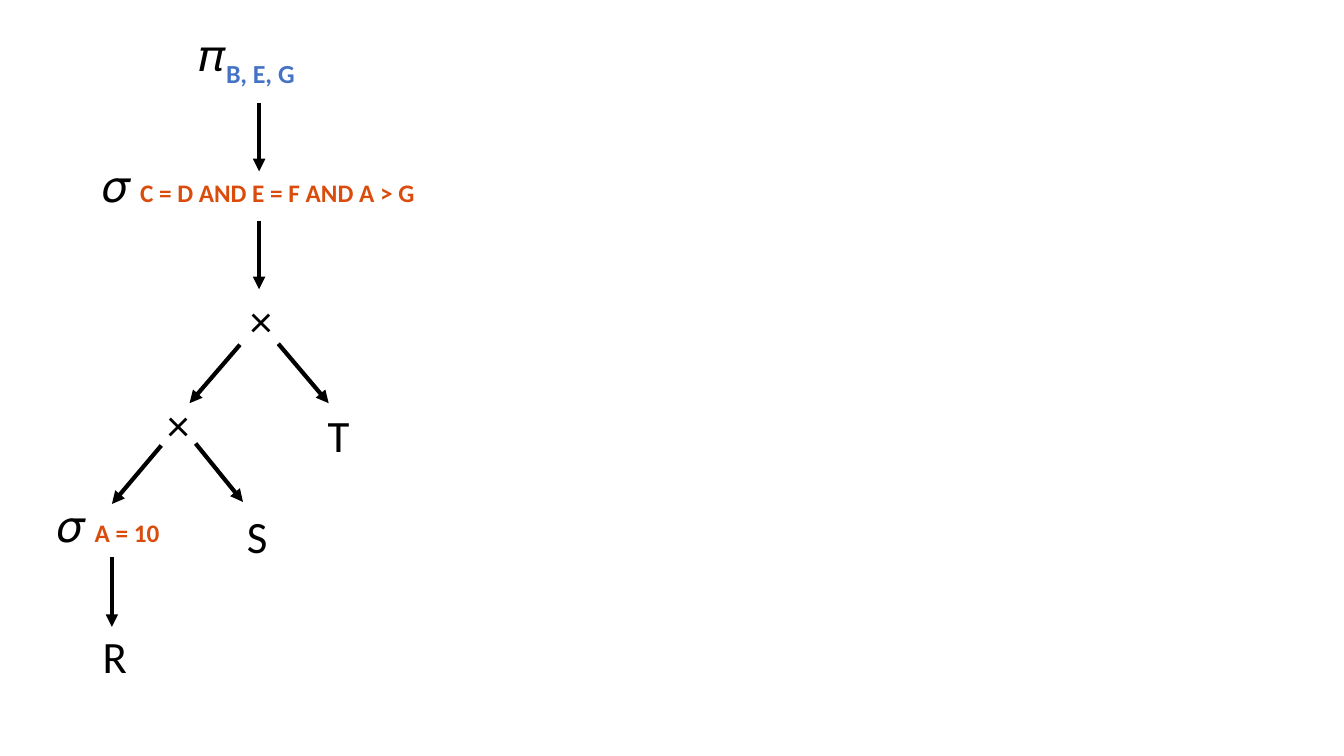
from dataclasses import dataclass
from pptx import Presentation
from pptx.dml.color import RGBColor
from pptx.enum import shapes, text
from pptx.oxml import ns
from pptx.util import Inches, Pt
from lxml import etree


@dataclass(frozen=True)
class Theme:
    font: str = "Calibri"
    ink: str = "000000"
    projection: str = "4472C4"
    condition: str = "DA4C0C"
    symbol_size: int = 32
    condition_size: int = 18
    line_width: int = 3


THEME = Theme()
ROW_HEIGHT = 0.64
LEAF_WIDTH = 0.38


def style_run(r, size, color, bold):
    r.font.name = THEME.font
    r.font.size = Pt(size)
    r.font.bold = bold
    r.font.color.rgb = RGBColor.from_string(color)


def add_label(s, x, y, w, parts, wrap=True):
    tf = s.shapes.add_textbox(Inches(x), Inches(y), Inches(w), Inches(ROW_HEIGHT)).text_frame
    tf.word_wrap = wrap
    tf.auto_size = text.MSO_AUTO_SIZE.SHAPE_TO_FIT_TEXT
    for content, size, color, bold in parts:
        r = tf.paragraphs[0].add_run()
        r.text = content
        style_run(r, size, color, bold)
    return tf


def add_leaf(s, x, y, name):
    add_label(s, x, y, LEAF_WIDTH, [(name, THEME.symbol_size, THEME.ink, False)])


def add_selection(s, x, y, w, condition, wrap=True):
    add_label(s, x, y, w, [
        ("𝜎 ", THEME.symbol_size, THEME.ink, True),
        (condition, THEME.condition_size, THEME.condition, True),
    ], wrap)


def add_projection(s, x, y, w, columns):
    tf = add_label(s, x, y, w, [
        ("𝜋", THEME.symbol_size, THEME.ink, True),
        (columns, THEME.symbol_size, THEME.projection, True),
    ])
    tf.paragraphs[0].runs[1].font._element.set("baseline", "-25000")


def add_arrow(s, x1, y1, x2, y2):
    c = s.shapes.add_connector(shapes.MSO_CONNECTOR.STRAIGHT,
                               Inches(x1), Inches(y1), Inches(x2), Inches(y2))
    c.line.color.rgb = RGBColor.from_string(THEME.ink)
    c.line.width = Pt(THEME.line_width)
    etree.SubElement(c.line._get_or_add_ln(), ns.qn("a:tailEnd"), type="triangle")
    etree.SubElement(c._element.spPr, ns.qn("a:effectLst"))


def build_query_tree(s, x, y):
    add_projection(s, x + 1.41, y, 1.32, "B, E, G")
    add_selection(s, x + 0.45, y + 1.3, 4.56, "C = D AND E = F AND A > G")
    add_selection(s, x, y + 4.67, 1.27, "A = 10", wrap=False)
    for name, dx, dy in [("×", 1.91, 2.63), ("×", 1.09, 3.67), ("T", 2.68, 3.78),
                         ("S", 1.88, 4.78), ("R", 0.45, 5.97)]:
        add_leaf(s, x + dx, y + dy, name)
    for dx, dy, run, drop in [(2.1, 0.8, 0, 0.68), (2.1, 1.97, 0, 0.68),
                              (1.91, 3.2, -0.5, 0.58), (2.29, 3.19, 0.5, 0.59),
                              (1.13, 4.2, -0.49, 0.58), (1.47, 4.18, 0.47, 0.58),
                              (0.64, 5.31, 0, 0.69)]:
        add_arrow(s, x + dx, y + dy, x + dx + run, y + dy + drop)


def main():
    prs = Presentation()
    prs.slide_width, prs.slide_height = Inches(13.33), Inches(7.5)
    s = prs.slides.add_slide(prs.slide_layouts[6])
    build_query_tree(s, 0.47, 0.22)
    prs.save("out.pptx")


if __name__ == "__main__":
    main()
